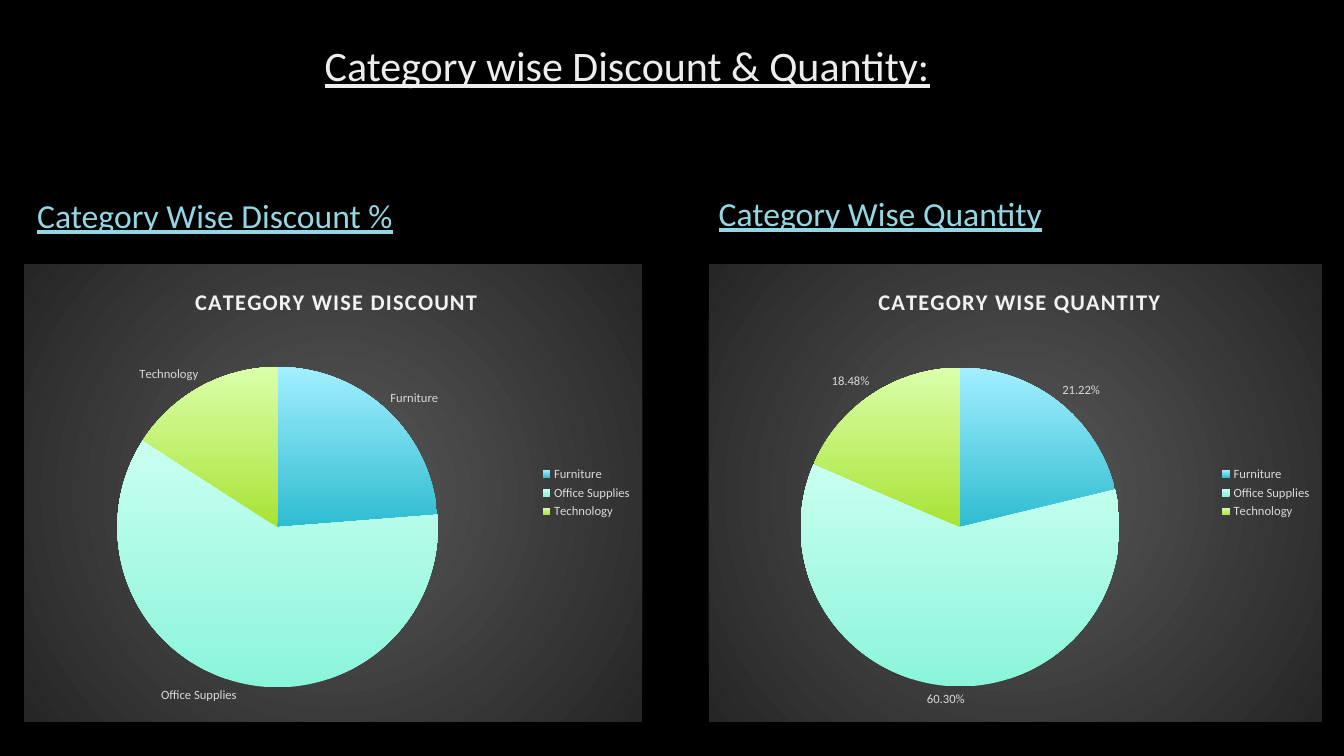
from dataclasses import dataclass

from pptx import Presentation
from pptx.chart.data import CategoryChartData
from pptx.dml.color import RGBColor
from pptx.enum.chart import XL_CHART_TYPE as ChartType
from pptx.enum.chart import XL_LABEL_POSITION as LabelPosition
from pptx.enum.chart import XL_LEGEND_POSITION as LegendPosition
from pptx.enum.text import MSO_ANCHOR as Anchor
from pptx.enum.text import PP_ALIGN as Align
from pptx.oxml import parse_xml
from pptx.oxml.ns import nsdecls, qn
from pptx.util import Inches, Pt


@dataclass(frozen=True)
class Theme:
    font: str = "Calibri"
    background: str = "000000"
    chart_text: str = "FFFFFF"
    chart_title_text: str = "F2F2F2"
    label_text: str = "D9D9D9"
    title_size: int = 30
    heading_size: int = 24
    chart_title_size: int = 16
    chart_size: int = 10
    label_size: int = 9
    # Gradients are (position in percent, colour) stops
    title_stops: tuple = ((0, "BFBFBF"), (28, "EDEDED"), (100, "FFFFFF"))
    heading_stops: tuple = ((0, "9FDBE7"), (15, "94D7E4"), (73, "BFE7EF"), (100, "FFFFFF"))
    panel_stops: tuple = ((0, "595959"), (100, "262626"))
    slice_stops: tuple = (
        ((0, "2EBCD0"), (100, "A2EFFF")),
        ((0, "8BF5DB"), (100, "C9FFF0")),
        ((0, "A9E335"), (100, "DAFFAB")),
    )


def gradient(stops, angle=None):
    """Linear gradient at an angle, or circular from the centre without one."""
    marks = "".join(
        f'<a:gs pos="{position * 1000}"><a:srgbClr val="{colour}"/></a:gs>'
        for position, colour in stops
    )
    if angle is None:
        direction = ('<a:path path="circle"><a:fillToRect l="50000" t="50000" '
                     'r="50000" b="50000"/></a:path>')
    else:
        direction = f'<a:lin ang="{angle * 60000}" scaled="0"/>'
    return parse_xml(f'<a:gradFill {nsdecls("a")} rotWithShape="1">'
                     f'<a:gsLst>{marks}</a:gsLst>{direction}</a:gradFill>')


def set_gradient(fill, owner, stops, angle):
    fill.gradient()
    current = owner.find(".//" + qn("a:gradFill"))
    current.getparent().replace(current, gradient(stops, angle))


def set_layout(parent, index, target="", **fractions):
    """Place a chart part by fractions of the chart area."""
    for current in parent.findall(qn("c:layout")):
        parent.remove(current)
    inner = f'<c:layoutTarget val="{target}"/>' if target else ""
    modes = "".join(f'<c:{axis}Mode val="edge"/>' for axis in "xy")
    sizes = "".join(f'<c:{key} val="{value}"/>' for key, value in fractions.items())
    parent.insert(index, parse_xml(
        f'<c:layout {nsdecls("c")}><c:manualLayout>{inner}{modes}{sizes}'
        '</c:manualLayout></c:layout>'))


class SlideBuilder:
    def __init__(self, presentation, theme):
        self.theme = theme
        self.slide = presentation.slides.add_slide(presentation.slide_layouts[5])
        background = self.slide.background.fill
        background.solid()
        background.fore_color.rgb = RGBColor.from_string(theme.background)

    def style_font(self, font, size, colour=None):
        font.name = self.theme.font
        font.size = Pt(size)
        if colour:
            font.color.rgb = RGBColor.from_string(colour)

    def fill_text(self, shape, text, size, stops, angle, anchor, align):
        frame = shape.text_frame
        frame.word_wrap = True
        frame.vertical_anchor = anchor
        paragraph = frame.paragraphs[0]
        paragraph.alignment = align
        paragraph.line_spacing = 0.9
        run = paragraph.add_run()
        run.text = text
        self.style_font(run.font, size)
        run.font.underline = True
        set_gradient(run.font.fill, run._r, stops, angle)

    def title(self, text, left, top, width, height):
        shape = self.slide.shapes.title
        shape.left, shape.top = Inches(left), Inches(top)
        shape.width, shape.height = Inches(width), Inches(height)
        self.fill_text(shape, text, self.theme.title_size, self.theme.title_stops, 80,
                       Anchor.TOP, Align.CENTER)

    def heading(self, text, left, top, width, height):
        shape = self.slide.shapes.add_textbox(
            Inches(left), Inches(top), Inches(width), Inches(height))
        self.fill_text(shape, text, self.theme.heading_size, self.theme.heading_stops, 270,
                       Anchor.MIDDLE, Align.LEFT)

    def pie(self, title, shares, show_values, left, top, width, height):
        theme = self.theme
        data = CategoryChartData(number_format="0.00%" if show_values else "General")
        data.categories = shares.keys()
        data.add_series("Series 1", shares.values())
        chart = self.slide.shapes.add_chart(
            ChartType.PIE, Inches(left), Inches(top), Inches(width), Inches(height),
            data).chart
        self.style_font(chart.font, theme.chart_size, theme.chart_text)

        # Panel behind the pie
        panel = parse_xml(f'<c:spPr {nsdecls("c", "a")}><a:ln><a:noFill/></a:ln></c:spPr>')
        panel.insert(0, gradient(theme.panel_stops))
        chart._chartSpace.find(qn("c:txPr")).addprevious(panel)

        # Chart title
        chart.has_title = True
        run = chart.chart_title.text_frame.paragraphs[0].add_run()
        run.text = title
        self.style_font(run.font, theme.chart_title_size, theme.chart_title_text)
        run.font.bold = True
        run._r.get_or_add_rPr().set("spc", "100")
        set_layout(chart.chart_title._element, 1, x=0.27, y=0.04)

        # Legend
        chart.has_legend = True
        chart.legend.position = LegendPosition.RIGHT
        chart.legend.include_in_layout = False
        self.style_font(chart.legend.font, theme.label_size, theme.label_text)

        # Slices and their labels
        plot = chart.plots[0]
        plot.vary_by_categories = True
        set_layout(chart._chartSpace.find(".//" + qn("c:plotArea")), 0, "inner",
                   x=0.15, y=0.225, w=0.52, h=0.7)
        series = plot.series[0]
        for index, stops in enumerate(theme.slice_stops):
            fill = series.points[index].format.fill
            point = series._element.findall(qn("c:dPt"))[index]
            set_gradient(fill, point, stops, 270)
        labels = series.data_labels
        labels.show_value = show_values
        labels.show_category_name = not show_values
        labels.show_percentage = False
        labels.number_format = "0.00%"
        labels.number_format_is_linked = False
        labels.position = LabelPosition.OUTSIDE_END
        self.style_font(labels.font, theme.label_size, theme.label_text)


def main():
    presentation = Presentation()
    presentation.slide_width = Inches(13.33)
    presentation.slide_height = Inches(7.5)
    builder = SlideBuilder(presentation, Theme())
    categories = ("Furniture", "Office Supplies", "Technology")

    # Headings
    builder.title("Category wise Discount & Quantity:", 2.95, 0.4, 6.54, 0.75)
    builder.heading("Category Wise Discount %", 0.27, 1.71, 5.5, 0.9)
    builder.heading("Category Wise Quantity", 7.03, 1.71, 5.51, 0.86)

    # Pie charts
    discount = dict(zip(categories, (24, 61, 16)))
    quantity = dict(zip(categories, (0.2122, 0.603, 0.1848)))
    builder.pie("CATEGORY WISE DISCOUNT", discount, False, 0.24, 2.62, 6.13, 4.54)
    builder.pie("CATEGORY WISE QUANTITY", quantity, True, 7.03, 2.62, 6.08, 4.54)

    presentation.save("out.pptx")


if __name__ == "__main__":
    main()
